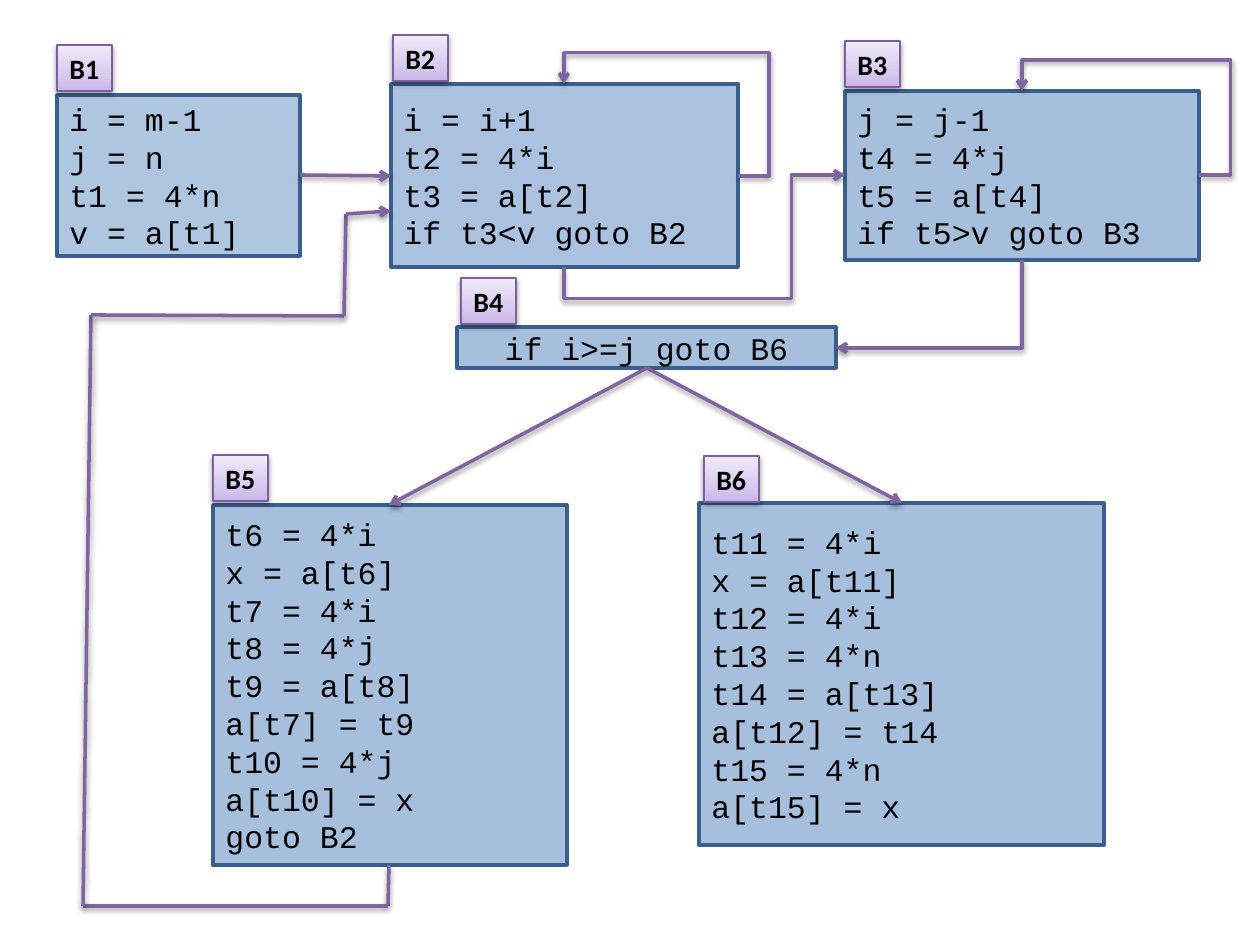
import copy
import pptx
import pptx.util
import pptx.oxml
import pptx.oxml.ns
import pptx.dml.color
import pptx.enum.shapes
import pptx.enum.text

PX = 914400 // 126
HUE = {"box": "4F81BD", "edge": "3A5F8C", "wire": "8064A2", "tick": "4A7EBB",
       "rim": "7D5FA0", "low": "C9B5E8", "mid": "D8CBEE", "high": "F0EAF9",
       "text": "000000"}
RGB = {key: pptx.dml.color.RGBColor.from_string(val) for key, val in HUE.items()}
NS = pptx.oxml.ns.nsdecls("a")
qn = pptx.oxml.ns.qn
RECT = pptx.enum.shapes.MSO_SHAPE.RECTANGLE
LINE = pptx.enum.shapes.MSO_CONNECTOR
ALIGN = pptx.enum.text.PP_ALIGN
ANCHOR = pptx.enum.text.MSO_ANCHOR
SHADE = (f'<a:effectLst {NS}><a:outerShdw blurRad="40000" dist="20000" dir="5400000" '
         'rotWithShape="0"><a:srgbClr val="000000"><a:alpha val="38000"/></a:srgbClr>'
         '</a:outerShdw></a:effectLst>')


def write(para, text, font, size, bold=False):
    run = para.add_run()
    run.text = text
    run.font.name = font
    run.font.size = pptx.util.Pt(size)
    run.font.bold = bold
    run.font.color.rgb = RGB["text"]


def wire(ends, kind=LINE.STRAIGHT, arrow=None, hue="wire", width=2):
    link = slide.shapes.add_connector(kind, *[n * PX for n in ends])
    link.line.color.rgb = RGB[hue]
    link.line.width = pptx.util.Pt(width)
    if arrow:
        link.line._get_or_add_ln().append(
            pptx.oxml.parse_xml(f'<a:{arrow} {NS} type="arrow"/>'))
    link._element.spPr.append(pptx.oxml.parse_xml(
        SHADE if hue == "wire" else f"<a:effectLst {NS}/>"))
    return link


deck = pptx.Presentation()
deck.slide_width, deck.slide_height = 1260 * PX, 945 * PX
slide = deck.slides.add_slide(deck.slide_layouts[6])

# Basic blocks: place, fill opacity, code
blocks = [
    ((57, 95, 243, 161), 45, ["i = m-1", "j = n", "t1 = 4*n", "v = a[t1]"]),
    ((391, 84, 347, 183), 48,
     ["i = i+1", "t2 = 4*i", "t3 = a[t2]", "if t3<v goto B2"]),
    ((845, 91, 354, 169), 50,
     ["j = j-1", "t4 = 4*j", "t5 = a[t4]", "if t5>v goto B3"]),
    ((457, 327, 379, 41), 50, ["if i>=j goto B6"]),
    ((213, 505, 354, 360), 50,
     ["t6 = 4*i", "x = a[t6]", "t7 = 4*i", "t8 = 4*j", "t9 = a[t8]",
      "a[t7] = t9", "t10 = 4*j", "a[t10] = x", "goto B2"]),
    ((699, 503, 405, 342), 50,
     ["t11 = 4*i", "x = a[t11]", "t12 = 4*i", "t13 = 4*n", "t14 = a[t13]",
      "a[t12] = t14", "t15 = 4*n", "a[t15] = x"]),
]
for place, alpha, code in blocks:
    box = slide.shapes.add_shape(RECT, *[n * PX for n in place])
    box.shadow.inherit = False
    box.fill.solid()
    box.fill.fore_color.rgb = RGB["box"]
    tint = box._element.spPr.find(qn("a:solidFill"))[0]
    tint.append(pptx.oxml.parse_xml(f'<a:alpha {NS} val="{alpha * 1000}"/>'))
    box.line.color.rgb = RGB["edge"]
    box.line.width = pptx.util.Pt(2)
    frame = box.text_frame
    frame.word_wrap = True
    frame.vertical_anchor = ANCHOR.MIDDLE
    for row, text in enumerate(code):
        para = frame.add_paragraph() if row else frame.paragraphs[0]
        para.alignment = ALIGN.CENTER if len(code) == 1 else ALIGN.LEFT
        if len(code) > 1:
            prop = para._p.get_or_add_pPr()
            prop.set("marL", "457200")
            prop.set("indent", "-457200")
        write(para, text, "Courier New", 18)

# Straight arrows between blocks
wire((1199, 175, 1199, 175), arrow="tailEnd", hue="tick", width=0.75)
for ends in [(300, 175, 391, 176), (647, 368, 902, 503), (647, 368, 389, 505)]:
    wire(ends, arrow="tailEnd")

# Bent arrows: ends, arrow side, preset, bend ratios
bends = [
    ((1199, 175, 1022, 91), "tailEnd", "bentConnector4", (-0.18, 1.37)),
    ((738, 176, 564, 84), "tailEnd", "bentConnector4", (-0.18, 1.34)),
    ((845, 175, 564, 267), "headEnd", "bentConnector4", (0.19, 1.34)),
    ((836, 348, 1022, 260), "headEnd", "bentConnector2", ()),
]
for ends, arrow, preset, ratios in bends:
    geom = wire(ends, LINE.ELBOW, arrow)._element.spPr.find(qn("a:prstGeom"))
    geom.set("prst", preset)
    guides = geom.find(qn("a:avLst"))
    for num, ratio in enumerate(ratios, 1):
        guides.append(pptx.oxml.parse_xml(
            f'<a:gd {NS} name="adj{num}" fmla="val {round(ratio * 100000)}"/>'))

# Block labels
tags = {"B1": (57, 45), "B2": (393, 35), "B5": (213, 455),
        "B4": (461, 278), "B6": (704, 456), "B3": (845, 41)}
for name, (left, top) in tags.items():
    tag = slide.shapes.add_shape(RECT, left * PX, top * PX, 55 * PX, 46 * PX)
    tag.fill.gradient()
    tag.fill.gradient_angle = 90
    stops = tag._element.spPr.find(qn("a:gradFill")).find(qn("a:gsLst"))
    stops.append(copy.deepcopy(stops[-1]))
    for stop, hue, spot in zip(tag.fill.gradient_stops,
                               ("low", "mid", "high"), (0, 0.35, 1)):
        stop.color.rgb = RGB[hue]
        stop.position = spot
    tag.line.color.rgb = RGB["rim"]
    tag.line.width = pptx.util.Pt(0.75)
    tag._element.spPr.append(pptx.oxml.parse_xml(SHADE))
    tag.text_frame.word_wrap = False
    tag.text_frame.vertical_anchor = ANCHOR.TOP
    para = tag.text_frame.paragraphs[0]
    para.alignment = ALIGN.LEFT
    write(para, name, "Calibri", 16, True)

# Way back from B5 to B2
turns = [(389, 865), (388, 906), (83, 906), (91, 315), (344, 316),
         (346, 214), (391, 211)]
for num, (start, end) in enumerate(zip(turns, turns[1:]), 2):
    wire(start + end, arrow="tailEnd" if num == len(turns) else None)

deck.save("out.pptx")
